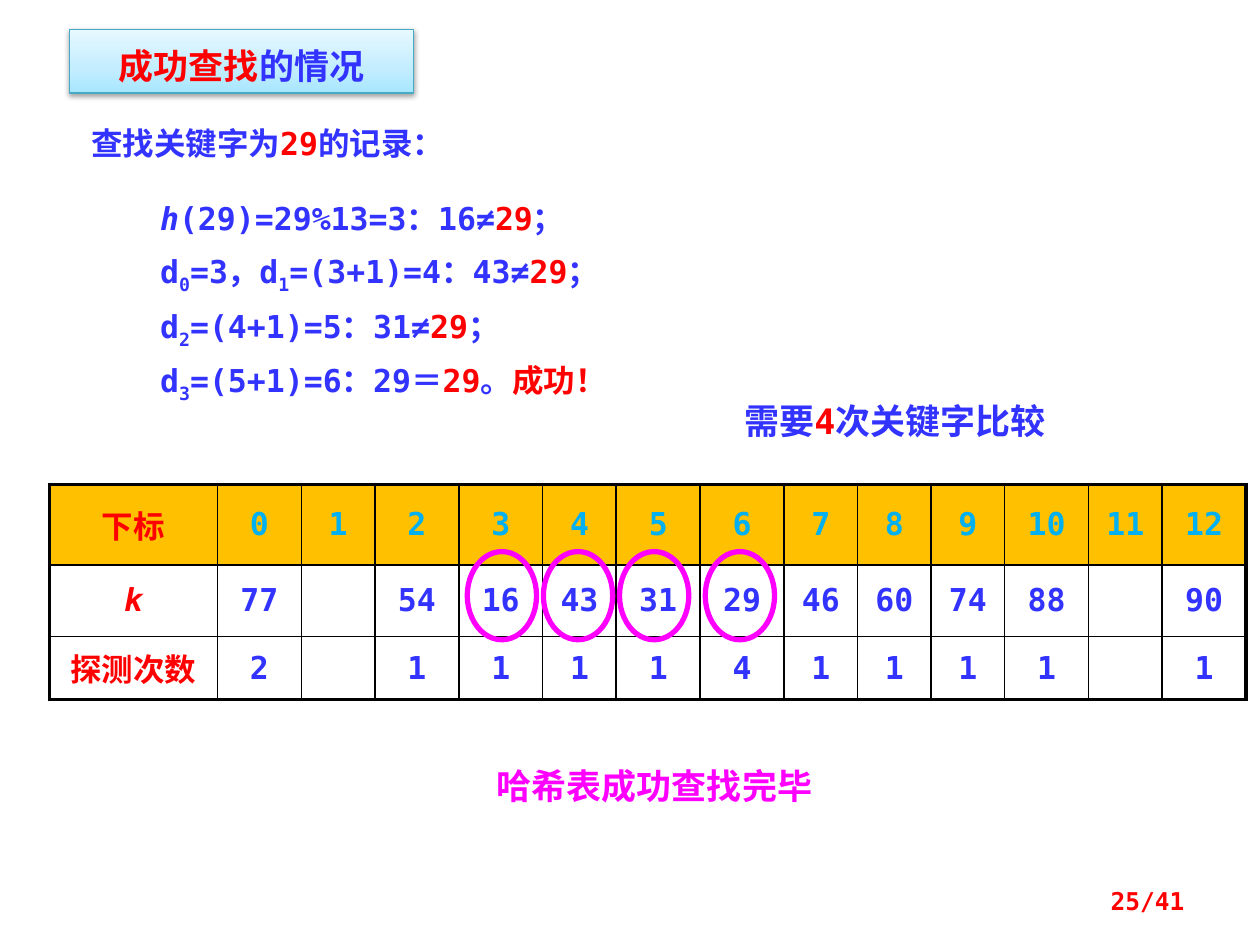
from copy import deepcopy
from itertools import accumulate

from lxml import etree
from pptx import Presentation
from pptx.dml.color import RGBColor
from pptx.enum import shapes, text
from pptx.oxml import parse_xml
from pptx.oxml.ns import nsdecls, qn
from pptx.util import Pt

FONT = "DejaVu Sans Mono"
BLUE, RED, PINK = "3333FF", "FF0000", "FF00FF"
CYAN, AMBER, BLACK = "00B0F0", "FFC000", "000000"
LEFT, CENTER, RIGHT = text.PP_ALIGN.LEFT, text.PP_ALIGN.CENTER, text.PP_ALIGN.RIGHT


def rgb(value):
    return RGBColor.from_string(value)


def write_line(paragraph, runs, size, align=LEFT, spacing=None):
    paragraph.alignment = align
    if spacing:
        paragraph.line_spacing = spacing
    font = paragraph.font
    font.name, font.size, font.bold = FONT, Pt(size), True
    for words, color, *style in runs:
        run = paragraph.add_run()
        run.text = words
        run.font.color.rgb = rgb(color)
        if "italic" in style:
            run.font.italic = True
        if "sub" in style:
            run.font._element.set("baseline", "-25000")


def add_lines(slide, box, lines, size, align=LEFT, spacing=None, gap=0,
              anchor=text.MSO_ANCHOR.TOP):
    frame = slide.shapes.add_textbox(*map(Pt, box)).text_frame
    frame.word_wrap = True
    frame.vertical_anchor = anchor
    for index, runs in enumerate(lines):
        paragraph = frame.add_paragraph() if index else frame.paragraphs[0]
        if index:
            paragraph.space_before = Pt(gap)
        write_line(paragraph, runs, size, align, spacing)


def add_heading(slide, box):
    heading = slide.shapes.title
    heading.left, heading.top, heading.width, heading.height = map(Pt, box)
    heading.fill.gradient()
    heading.fill.gradient_angle = 90
    stops = heading.fill.gradient_stops
    first = stops[0]._gs
    first.addnext(deepcopy(first))
    for stop, position, color in zip(heading.fill.gradient_stops, (0, 0.35, 1),
                                     ("A7E6FF", "C1EDFF", "E7F8FF")):
        stop.position = position
        stop.color.rgb = rgb(color)
    heading.line.color.rgb = rgb("46AAC5")
    heading.line.width = Pt(0.75)
    heading._element.spPr.append(parse_xml(
        f'<a:effectLst {nsdecls("a")}><a:outerShdw blurRad="40000" dist="20000" '
        'dir="5400000" rotWithShape="0"><a:srgbClr val="000000"><a:alpha val="38000"/>'
        '</a:srgbClr></a:outerShdw></a:effectLst>'))
    frame = heading.text_frame
    frame.auto_size = text.MSO_AUTO_SIZE.NONE
    frame.vertical_anchor = text.MSO_ANCHOR.TOP
    write_line(frame.paragraphs[0], [("成功查找", RED), ("的情况", BLUE)], 20, CENTER, 1.2)


def add_probe_steps(slide, box):
    def probe(index, formula):
        return [("d", BLUE), (index, BLUE, "sub"), (formula, BLUE)]

    target, stop = ("29", RED), ("；", BLUE)
    add_lines(slide, box, [
        [("h", BLUE, "italic"), ("(29)=29%13=3：16≠", BLUE), target, stop],
        [*probe("0", "=3，"), *probe("1", "=(3+1)=4：43≠"), target, stop],
        [*probe("2", "=(4+1)=5：31≠"), target, stop],
        [*probe("3", "=(5+1)=6：29＝"), target, ("。", BLUE), ("成功！", RED)],
    ], 18, spacing=0.9, gap=9)


def set_border(cell, side, width):
    border = etree.SubElement(cell._tc.get_or_add_tcPr(), qn(f"a:{side}"), w=str(Pt(width)))
    fill = etree.SubElement(border, qn("a:solidFill"))
    etree.SubElement(fill, qn("a:srgbClr"), val=BLACK)


def add_hash_table(slide, left, top):
    rows = [["下标", *map(str, range(13))],
            ["k", "77", "", "54", "16", "43", "31", "29", "46", "60", "74", "88", "", "90"],
            ["探测次数", "2", "", "1", "1", "1", "1", "4", "1", "1", "1", "1", "", "1"]]
    heights = [46, 41, 36]
    narrow = {1, 4, 7, 8, 9, 11}
    widths = [96] + [42 if slot in narrow else 48 for slot in range(13)]
    grid = slide.shapes.add_table(len(heights), len(widths), Pt(left), Pt(top),
                                  Pt(sum(widths)), Pt(sum(heights))).table
    grid.first_row = grid.horz_banding = False
    for column, width in zip(grid.columns, widths):
        column.width = Pt(width)
    for r, (values, height) in enumerate(zip(rows, heights)):
        grid.rows[r].height = Pt(height)
        for c, value in enumerate(values):
            cell = grid.cell(r, c)
            cell.vertical_anchor = text.MSO_ANCHOR.MIDDLE
            outer = {"lnL": c == 0, "lnR": c == len(widths) - 1,
                     "lnT": r == 0, "lnB": r == len(heights) - 1}
            for side, is_outer in outer.items():
                set_border(cell, side, 2.25 if is_outer else 1)
            if r == 0:
                cell.fill.solid()
                cell.fill.fore_color.rgb = rgb(AMBER)
            else:
                cell.fill.background()
            color = RED if c == 0 else CYAN if r == 0 else BLUE
            style = ["italic"] if value == "k" else []
            runs = [(value, color, *style)] if value else []
            write_line(cell.text_frame.paragraphs[0], runs, 18, CENTER)


def add_probe_rings(slide, left, top):
    for offset in accumulate([0, 43.5, 43.5, 49]):
        ring = slide.shapes.add_shape(shapes.MSO_SHAPE.OVAL, Pt(left + offset), Pt(top),
                                      Pt(39.6), Pt(50.4))
        ring.shadow.inherit = False
        ring.fill.background()
        ring.line.color.rgb = rgb(PINK)
        ring.line.width = Pt(3)


def main():
    deck = Presentation()
    deck.slide_width, deck.slide_height = Pt(720), Pt(540)
    slide = deck.slides.add_slide(deck.slide_layouts[5])
    add_heading(slide, (39.6, 16.8, 196.8, 36.4))
    add_lines(slide, (242, 433.5, 264, 31.5), [[("哈希表成功查找完毕", PINK)]], 20, CENTER)
    add_lines(slide, (45, 67.5, 292, 29),
              [[("查找关键字为", BLUE), ("29", RED), ("的记录：", BLUE)]], 18)
    add_probe_steps(slide, (84.4, 112.5, 315, 119))
    add_hash_table(slide, 28.2, 276.8)
    add_probe_rings(slide, 267, 315.2)
    add_lines(slide, (382.5, 225, 258, 31.5),
              [[("需要", BLUE), ("4", RED), ("次关键字比较", BLUE)]], 20, CENTER)
    add_lines(slide, (516, 500.5, 168, 28.8), [[("25/41", RED)]], 14, RIGHT,
              anchor=text.MSO_ANCHOR.MIDDLE)
    deck.save("out.pptx")


if __name__ == "__main__":
    main()
